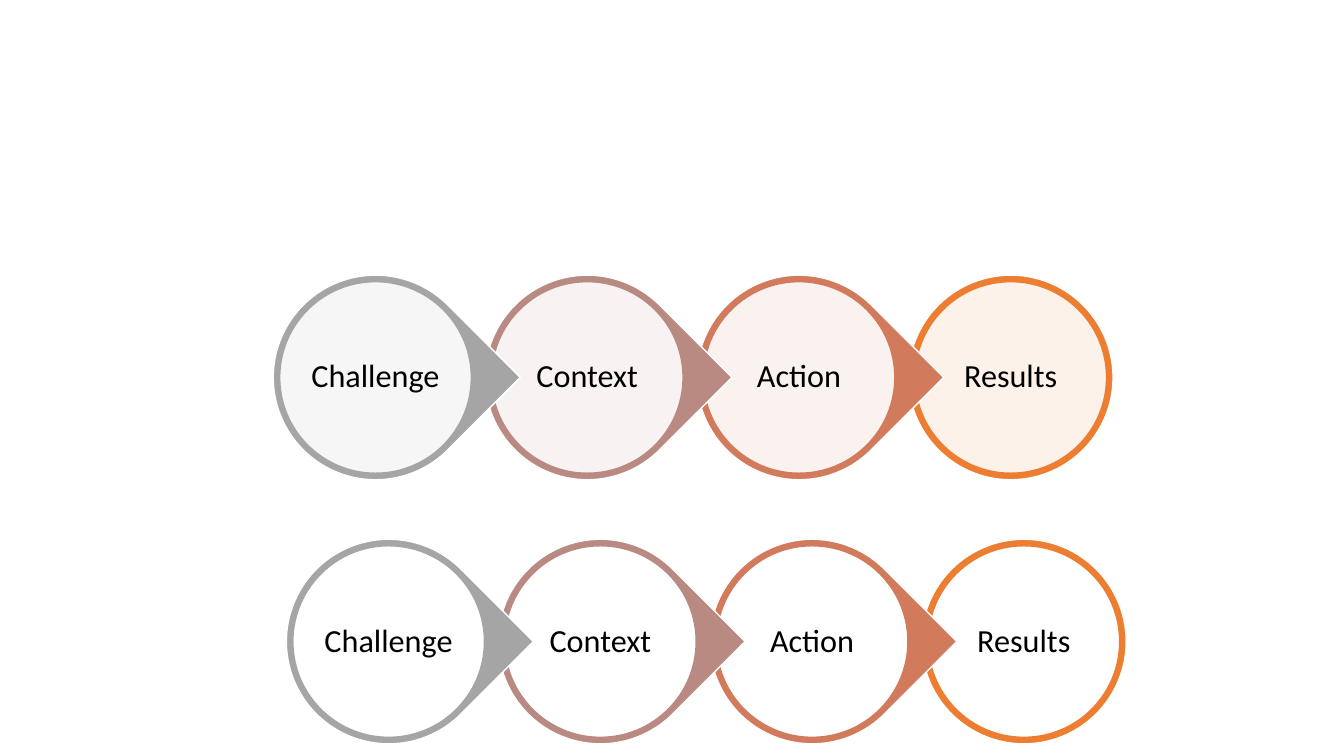
"""Build a slide with two four-step chains of linked circles."""
from dataclasses import dataclass
from typing import Any

from lxml.etree import SubElement
from pptx import Presentation
from pptx.dml.color import RGBColor as RGB
from pptx.enum.shapes import MSO_SHAPE as SHAPE
from pptx.enum.text import MSO_ANCHOR as ANCHOR, PP_ALIGN as ALIGN
from pptx.oxml.ns import qn
from pptx.util import Inches, Pt


@dataclass(frozen=True)
class Theme:
    """Colours and type of the slide."""
    white: str = "FFFFFF"
    text: str = "000000"
    font: str = "Calibri"
    size: float = 23
    line: float = 1


@dataclass(frozen=True)
class Step:
    """One labelled circle of a chain."""
    label: str
    color: str
    points: bool = True


@dataclass(frozen=True)
class Chain:
    """Place of a chain and opacity of its discs in percent."""
    left: float
    top: float
    opacity: int


THEME = Theme()
STEPS = (
    Step("Challenge", "A5A5A5"),
    Step("Context", "B98A82"),
    Step("Action", "D17B5C"),
    Step("Results", "ED7D31", points=False),
)
CHAINS = (Chain(2.71, 2.73, 90), Chain(2.84, 5.35, 100))
PITCH, RING, DISC, LABEL = 2.1, 2.03, 1.9, 1.35
FRAME = {
    "word_wrap": True,
    "vertical_anchor": ANCHOR.MIDDLE,
    **{f"margin_{side}": Inches(0.03) for side in ("left", "top", "right", "bottom")},
}
PARAGRAPH = {"alignment": ALIGN.CENTER, "line_spacing": 0.9}
FONT = {"name": THEME.font, "size": Pt(THEME.size)}


def apply(target: Any, values: dict[str, Any]) -> None:
    """Set each named attribute on the target."""
    for name, value in values.items():
        setattr(target, name, value)


def square(x: float, y: float, size: float) -> tuple[int, ...]:
    """Return the box of a square centred on a point."""
    return tuple(Inches(v) for v in (x - size / 2, y - size / 2, size, size))


def add_shape(group: Any, kind: Any, box: tuple[int, ...], fill: str, line: str) -> Any:
    """Add a flat shape with a solid fill and a thin outline."""
    sp = group.shapes.add_shape(kind, *box)
    sp.shadow.inherit = False
    sp.fill.solid()
    sp.fill.fore_color.rgb = RGB.from_string(fill)
    sp.line.color.rgb = RGB.from_string(line)
    sp.line.width = Pt(THEME.line)
    return sp


def set_opacity(sp: Any, percent: int) -> None:
    """Make the solid fill of a shape partly transparent."""
    color = sp.element.spPr.find(qn("a:solidFill"))[0]
    SubElement(color, qn("a:alpha")).set("val", str(percent * 1000))


def add_label(group: Any, box: tuple[int, ...], text: str) -> None:
    """Add a centred label."""
    tf = group.shapes.add_textbox(*box).text_frame
    apply(tf, FRAME)
    p = tf.paragraphs[0]
    apply(p, PARAGRAPH)
    r = p.add_run()
    r.text = text
    apply(r.font, FONT)
    r.font.color.rgb = RGB.from_string(THEME.text)


def add_step(group: Any, step: Step, x: float, y: float, opacity: int) -> None:
    """Add the ring, the disc and the label of a step around a point."""
    kind = SHAPE.TEAR if step.points else SHAPE.OVAL
    ring = add_shape(group, kind, square(x, y, RING), step.color, THEME.white)
    if step.points:
        ring.adjustments[0] = 1.0
        ring.rotation = 45
    disc = add_shape(group, SHAPE.OVAL, square(x, y, DISC), THEME.white, step.color)
    if opacity < 100:
        set_opacity(disc, opacity)
    add_label(group, square(x, y, LABEL), step.label)


def add_chain(slide: Any, chain: Chain) -> None:
    """Add a chain from its last step to its first, so that tips overlap."""
    group = slide.shapes.add_group_shape()
    for i, step in reversed(list(enumerate(STEPS))):
        x = chain.left + RING / 2 + i * PITCH
        add_step(group, step, x, chain.top + RING / 2, chain.opacity)


def main() -> None:
    """Build and save the slide."""
    prs = Presentation()
    apply(prs, {"slide_width": Inches(13.33), "slide_height": Inches(7.5)})
    s = prs.slides.add_slide(prs.slide_layouts[6])
    for chain in CHAINS:
        add_chain(s, chain)
    prs.save("out.pptx")


if __name__ == "__main__":
    main()
